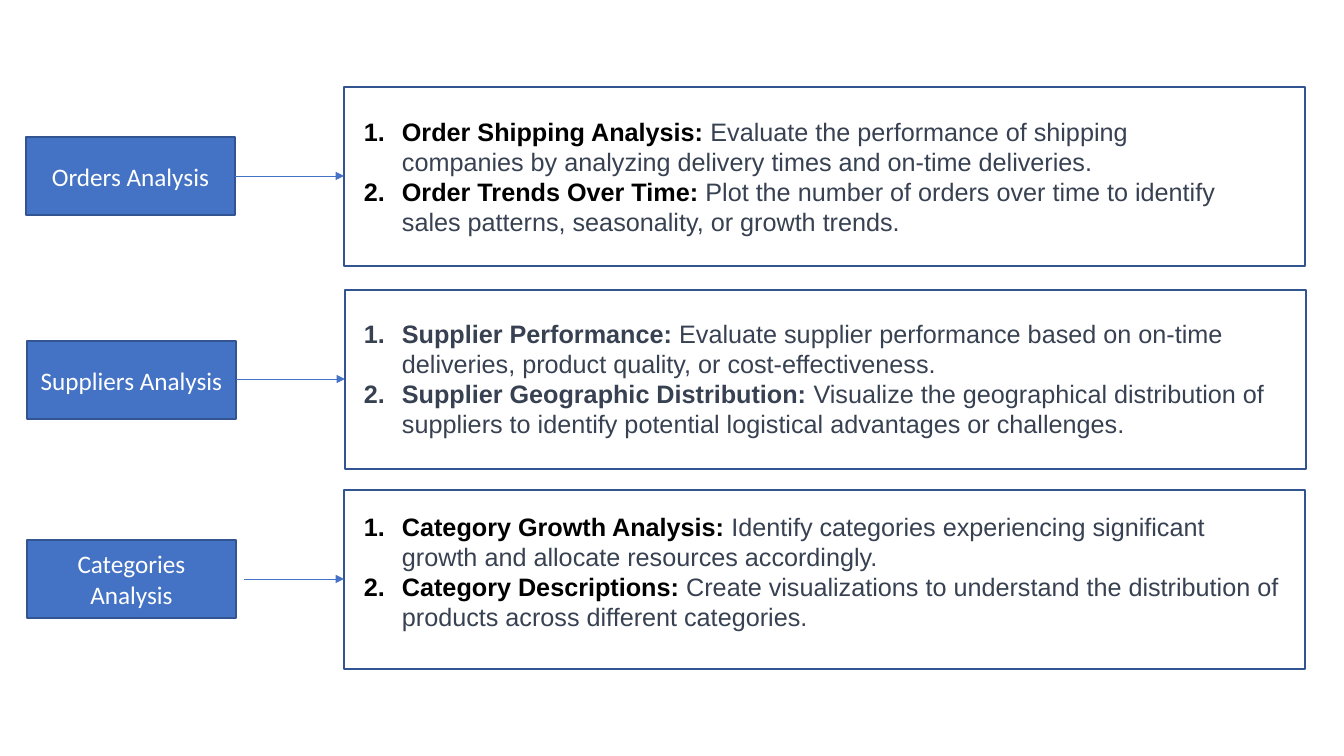
from lxml.etree import SubElement
from pptx import Presentation
from pptx.dml.color import RGBColor
from pptx.enum.shapes import MSO_CONNECTOR, MSO_SHAPE
from pptx.enum.text import MSO_ANCHOR, MSO_AUTO_SIZE, PP_ALIGN
from pptx.oxml.ns import qn
from pptx.util import Pt

EMU_PER_PIXEL = 914400 / 100.8
BLUE = RGBColor(0x44, 0x72, 0xC4)
NAVY = RGBColor(0x32, 0x54, 0x91)
SLATE = RGBColor(0x37, 0x41, 0x51)
BLACK = RGBColor(0, 0, 0)
WHITE = RGBColor(255, 255, 255)

LABEL_WIDTH, LABEL_HEIGHT = 209, 78
FRAME_WIDTH, FRAME_HEIGHT = 961, 179
DETAILS_LEFT, DETAILS_HEIGHT = 354, 132
NUMBER_INDENT = 38


def px(pixels):
    return round(pixels * EMU_PER_PIXEL)


class Diagram:
    def __init__(self, slide, size=18):
        self.shapes = slide.shapes
        self.size = Pt(size)

    def style(self, run, font, color, bold=False):
        run.font.name = font
        run.font.size = self.size
        run.font.color.rgb = color
        run.font.bold = bold

    def box(self, left, top, width, height, fill=None):
        box = self.shapes.add_shape(
            MSO_SHAPE.FLOWCHART_PROCESS, px(left), px(top), px(width), px(height))
        box.shadow.inherit = False
        box.line.color.rgb = NAVY
        box.line.width = Pt(1)
        if fill is None:
            box.fill.background()
        else:
            box.fill.solid()
            box.fill.fore_color.rgb = fill
        return box

    def label(self, left, top, caption):
        frame = self.box(left, top, LABEL_WIDTH, LABEL_HEIGHT, BLUE).text_frame
        frame.text = caption
        frame.word_wrap = True
        frame.vertical_anchor = MSO_ANCHOR.MIDDLE
        paragraph = frame.paragraphs[0]
        paragraph.alignment = PP_ALIGN.CENTER
        self.style(paragraph.runs[0], "Calibri", WHITE)

    def numbered_list(self, top, width, items, title_color):
        frame = self.shapes.add_textbox(
            px(DETAILS_LEFT), px(top), px(width), px(DETAILS_HEIGHT)).text_frame
        frame.word_wrap = True
        frame.auto_size = MSO_AUTO_SIZE.SHAPE_TO_FIT_TEXT
        for index, (title, description) in enumerate(items):
            paragraph = frame.add_paragraph() if index else frame.paragraphs[0]
            paragraph.text = f"{title}:"
            self.style(paragraph.runs[0], "Arial", title_color, bold=True)
            detail = paragraph.add_run()
            detail.text = f" {description}"
            self.style(detail, "Arial", SLATE)
            properties = paragraph._p.get_or_add_pPr()
            properties.set("marL", str(px(NUMBER_INDENT)))
            properties.set("indent", str(-px(NUMBER_INDENT)))
            SubElement(properties, qn("a:buFont"), typeface="Arial")
            SubElement(properties, qn("a:buAutoNum"), type="arabicPeriod")

    def arrow(self, start, end, y):
        arrow = self.shapes.add_connector(
            MSO_CONNECTOR.STRAIGHT, px(start), px(y), px(end), px(y))
        arrow.line.color.rgb = BLUE
        arrow.line.width = Pt(0.5)
        SubElement(arrow.line._get_or_add_ln(), qn("a:tailEnd"), type="triangle")
        SubElement(arrow._element.spPr, qn("a:effectLst"))


ANALYSES = [
    ("Orders Analysis", (26, 137), (344, 87), (111, 897), 235, BLACK, [
        ("Order Shipping Analysis",
         "Evaluate the performance of shipping companies by analyzing "
         "delivery times and on-time deliveries."),
        ("Order Trends Over Time",
         "Plot the number of orders over time to identify sales patterns, "
         "seasonality, or growth trends."),
    ]),
    ("Suppliers Analysis", (27, 341), (345, 290), (313, 942), 236, SLATE, [
        ("Supplier Performance",
         "Evaluate supplier performance based on on-time deliveries, "
         "product quality, or cost-effectiveness."),
        ("Supplier Geographic Distribution",
         "Visualize the geographical distribution of suppliers to identify "
         "potential logistical advantages or challenges."),
    ]),
    ("Categories Analysis", (27, 540), (344, 490), (506, 942), 244, BLACK, [
        ("Category Growth Analysis",
         "Identify categories experiencing significant growth and allocate "
         "resources accordingly."),
        ("Category Descriptions",
         "Create visualizations to understand the distribution of products "
         "across different categories."),
    ]),
]

presentation = Presentation()
presentation.slide_width = px(1344)
presentation.slide_height = px(756)
diagram = Diagram(presentation.slides.add_slide(presentation.slide_layouts[6]))

for caption, label_at, frame_at, details, arrow_start, title_color, items in ANALYSES:
    frame_left, frame_top = frame_at
    details_top, details_width = details
    diagram.label(*label_at, caption)
    diagram.box(frame_left, frame_top, FRAME_WIDTH, FRAME_HEIGHT)
    diagram.arrow(arrow_start, frame_left, frame_top + FRAME_HEIGHT // 2)
    diagram.numbered_list(details_top, details_width, items, title_color)

presentation.save("out.pptx")
